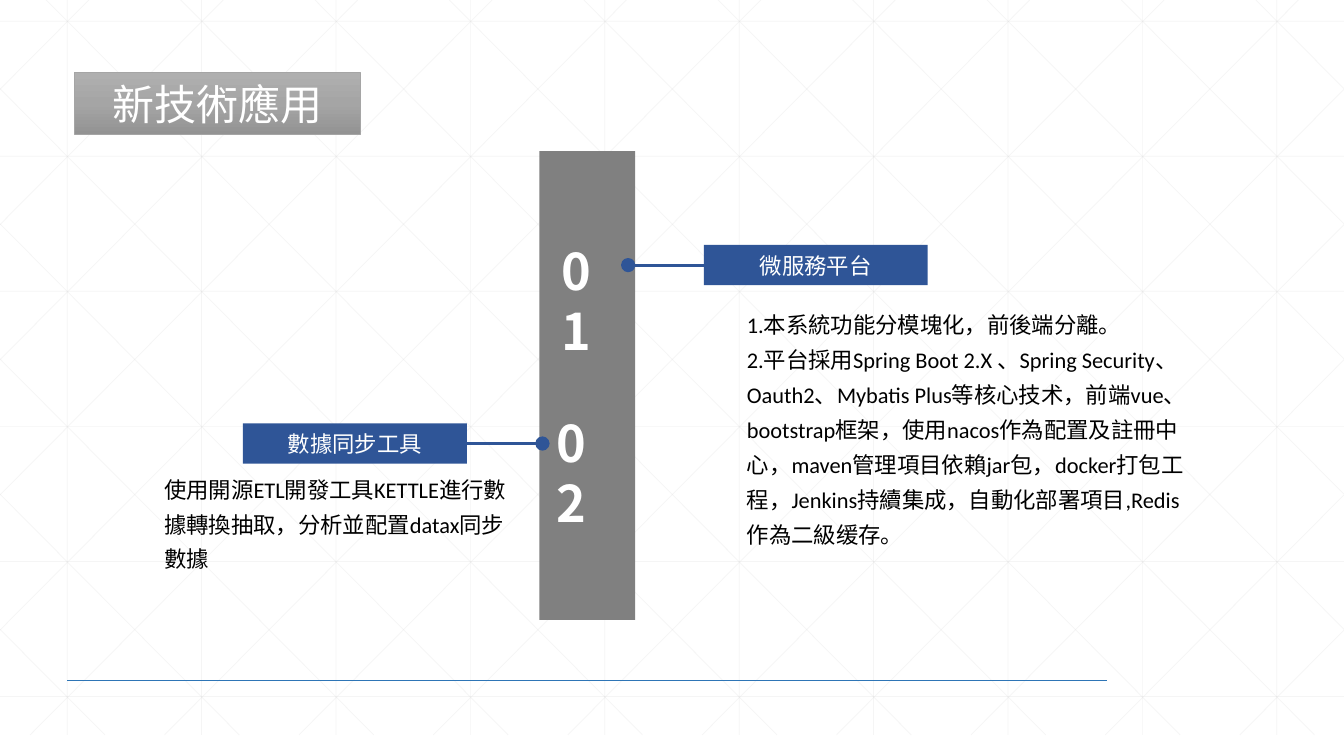
from copy import deepcopy
from lxml import etree
from pptx import Presentation, util as u
from pptx.dml.color import RGBColor
from pptx.enum import shapes, text
from pptx.oxml import ns

W, H = 13.33, 7.5
CELL = W / 10
WHITE = RGBColor(0xFF, 0xFF, 0xFF)
BLACK = RGBColor(0, 0, 0)
MESH = RGBColor(0xD9, 0xD9, 0xD9)
RULE = RGBColor(0x2E, 0x75, 0xB6)
NAVY = RGBColor(0x2F, 0x55, 0x97)
GRAY = RGBColor(0x80, 0x80, 0x80)
EDGE = RGBColor(0xA5, 0xA5, 0xA5)
SHADES = [RGBColor(0xAF, 0xAF, 0xAF), EDGE, RGBColor(0x93, 0x93, 0x93)]
SANS, BOLD, BODY = "Noto Sans CJK SC", "Noto Sans CJK JP", "Calibri"

deck = Presentation()
deck.slide_width, deck.slide_height = u.Inches(W), u.Inches(H)
page = deck.slides.add_slide(deck.slide_layouts[6])


def draw(x1, y1, x2, y2, color, width):
    ends = [u.Inches(v) for v in (x1, y1, x2, y2)]
    line = page.shapes.add_connector(shapes.MSO_CONNECTOR.STRAIGHT, *ends)
    line.line.color.rgb = color
    line.line.width = u.Pt(width)
    etree.SubElement(line._element.spPr, ns.qn("a:effectLst"))
    return line


def write(shape, lines, size, font, color, align=None, space=None, bold=None):
    """Fill a shape with paragraphs in one style, Latin and East Asian alike."""
    frame = shape.text_frame
    frame.word_wrap = True
    frame.text = "\n".join(lines)
    for para in frame.paragraphs:
        para.alignment = align
        para.line_spacing = space
        para.font.size = u.Pt(size)
        para.font.bold = bold
        para.font.color.rgb = color
        para.font.name = font
        east = etree.SubElement(para._p.pPr.defRPr, ns.qn("a:ea"))
        east.set("typeface", font)
    return frame


# Background mesh: columns, rows, then both diagonals cut at the slide edges
TOP, END, SLOPE = 0.21, 7.29, 0.994
mesh = [((i + 0.5) * CELL, 0, (i + 0.5) * CELL, END) for i in range(10)]
mesh += [(0, TOP + 1.34 * i, W, TOP + 1.34 * i) for i in range(6)]
for i in range(15):
    fall = 0.25 + (i - 5) * CELL + TOP * SLOPE
    rise = 1.09 + i * CELL - TOP * SLOPE
    for start, step in ((fall, SLOPE), (rise, -SLOPE)):
        near, far = sorted((-start / step, (W - start) / step))
        y1, y2 = max(0, near), min(END, far)
        mesh.append((start + step * y1, y1, start + step * y2, y2))
for ends in mesh:
    line = draw(*ends, MESH, 0.5)
    tint = line.line.fill._xPr.find(".//" + ns.qn("a:srgbClr"))
    etree.SubElement(tint, ns.qn("a:alpha")).set("val", "25000")

draw(CELL / 2, 0.9 * H, 10.98, 0.9 * H, RULE, 1)

RECT, OVAL = shapes.MSO_SHAPE.RECTANGLE, shapes.MSO_SHAPE.OVAL
CENTER = text.PP_ALIGN.CENTER
MIDDLE = text.MSO_ANCHOR.MIDDLE

# Title
title = page.shapes.add_shape(RECT, *map(u.Inches, (0.74, 0.72, 2.83, 0.61)))
title.shadow.inherit = False
title.fill.gradient()
title.fill.gradient_angle = 270
stops = title._element.spPr.find(".//" + ns.qn("a:gsLst"))
stops.insert(1, deepcopy(stops[0]))
for i, (stop, shade) in enumerate(zip(title.fill.gradient_stops, SHADES)):
    stop.position = i / 2
    stop.color.rgb = shade
title.line.color.rgb = EDGE
title.line.width = u.Pt(0.5)
write(title, ["新技術應用"], 30, SANS, WHITE, CENTER).vertical_anchor = MIDDLE

# Central column
post = page.shapes.add_shape(RECT, *map(u.Inches, (5.35, 1.5, 0.95, 4.65)))
post.shadow.inherit = False
post.fill.solid()
post.fill.fore_color.rgb = GRAY
post.line.fill.background()

# Each branch: number, number box, line ends, dot, label, label left, font, body box, body
DOT, TAG_W, TAG_H = 0.12, 2.22, 0.4
branches = [
    ("01", (5.47, 2.28, 0.67, 0.71), (7.2, 6.25), 6.17, "微服務平台", 6.98, BODY,
     (7.31, 2.96, 4.56, 2.9),
     ["1.本系統功能分模塊化，前後端分離。",
      "2.平台採用Spring Boot 2.X 、Spring Security、Oauth2、Mybatis Plus等核心技术，"
      "前端vue、bootstrap框架，使用nacos作為配置及註冊中心，maven管理項目依賴jar包，"
      "docker打包工程，Jenkins持續集成，自動化部署項目,Redis作為二級缓存。"]),
    ("02", (5.42, 3.99, 0.75, 0.71), (4.41, 5.35), 5.32, "數據同步工具", 2.41, SANS,
     (1.53, 4.59, 3.7, 1.15),
     ["使用開源ETL開發工具KETTLE進行數據轉換抽取，分析並配置datax同步數據"]),
]
for num, spot, (x1, x2), dot, name, left, font, area, body in branches:
    mid = spot[1] + (0.35 if num == "01" else 0.41)
    box = page.shapes.add_textbox(*map(u.Inches, spot))
    frame = write(box, [num], 36, BOLD, WHITE, space=u.Pt(43), bold=True)
    frame.margin_top = u.Inches(0.1)
    draw(x1, mid, x2, mid, NAVY, 2.25)
    for kind, x, wide, high in ((OVAL, dot, DOT, DOT), (RECT, left, TAG_W, TAG_H)):
        mark = page.shapes.add_shape(
            kind, *map(u.Inches, (x, mid - high / 2, wide, high)))
        mark.shadow.inherit = False
        mark.fill.solid()
        mark.fill.fore_color.rgb = NAVY
        if kind == OVAL:
            mark.line.color.rgb = NAVY
            mark.line.width = u.Pt(1.5)
        else:
            mark.line.fill.background()
            write(mark, [name], 16, font, WHITE, CENTER).vertical_anchor = MIDDLE
    note = page.shapes.add_textbox(*map(u.Inches, area))
    write(note, body, 16, BODY, BLACK, space=1.3)

deck.save("out.pptx")
